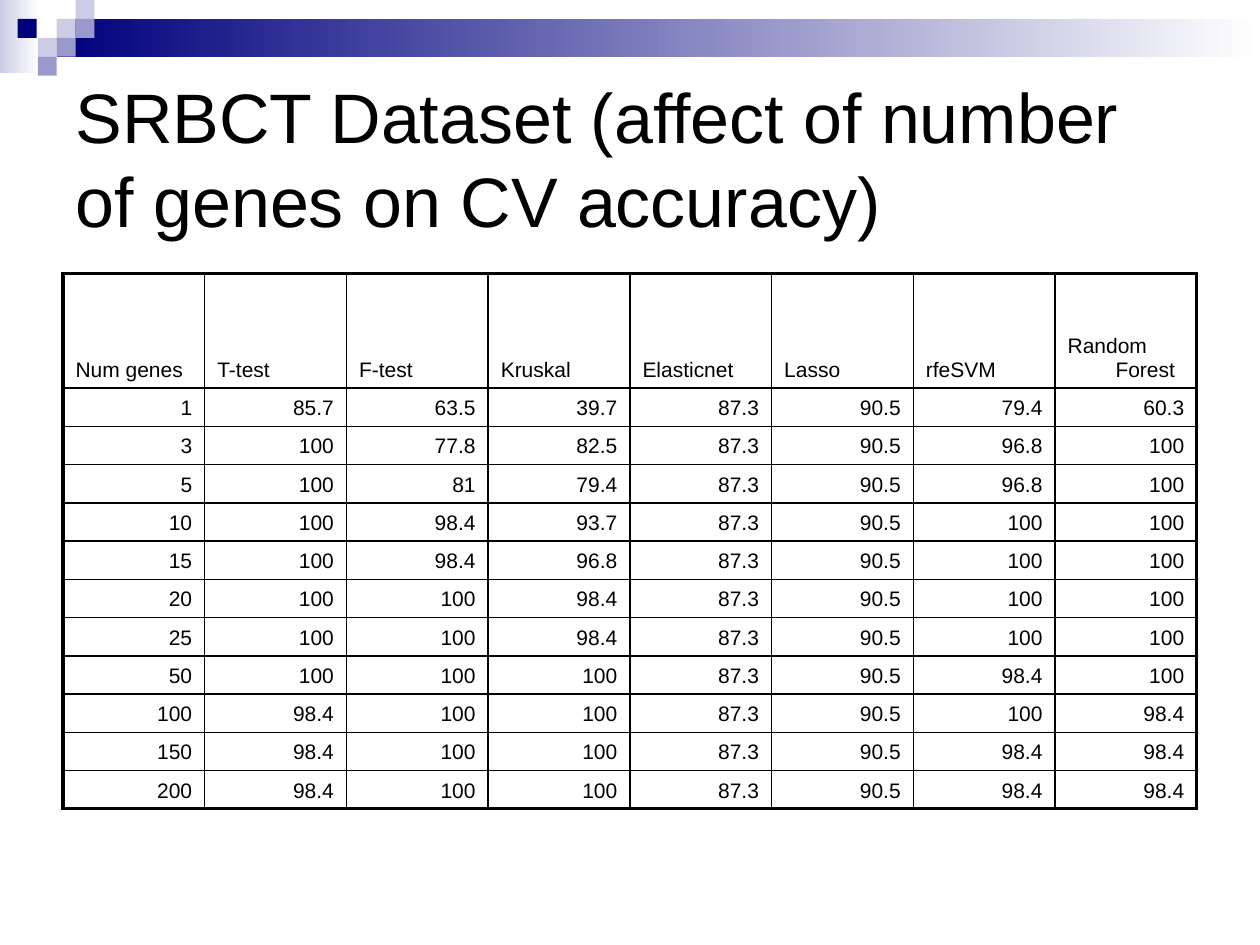
"""Build the SRBCT slide: gene count against cross-validation accuracy."""
from lxml import etree
from pptx import Presentation
from pptx.dml.color import RGBColor
from pptx.enum.shapes import MSO_SHAPE
from pptx.enum.text import MSO_ANCHOR, MSO_AUTO_SIZE, PP_ALIGN
from pptx.oxml.ns import qn
from pptx.util import Inches, Pt

RECT = MSO_SHAPE.RECTANGLE
LEFT, RIGHT = PP_ALIGN.LEFT, PP_ALIGN.RIGHT
MIDDLE, BOTTOM = MSO_ANCHOR.MIDDLE, MSO_ANCHOR.BOTTOM

THEME = {
    "font": "Arial", "title": 40, "cell": 12, "thin": 1, "thick": 2,
    "ink": "000000", "paper": "FFFFFF",
    "navy": "00007D", "mid": "9999CC", "pale": "CCCCE6",
}

TITLE = "SRBCT Dataset (affect of number of genes on CV accuracy)"
HEADERS = ["Num genes", "T-test", "F-test", "Kruskal", "Elasticnet", "Lasso",
           "rfeSVM", "Random Forest"]
ROWS = [
    (1, 85.7, 63.5, 39.7, 87.3, 90.5, 79.4, 60.3),
    (3, 100, 77.8, 82.5, 87.3, 90.5, 96.8, 100),
    (5, 100, 81, 79.4, 87.3, 90.5, 96.8, 100),
    (10, 100, 98.4, 93.7, 87.3, 90.5, 100, 100),
    (15, 100, 98.4, 96.8, 87.3, 90.5, 100, 100),
    (20, 100, 100, 98.4, 87.3, 90.5, 100, 100),
    (25, 100, 100, 98.4, 87.3, 90.5, 100, 100),
    (50, 100, 100, 100, 87.3, 90.5, 98.4, 100),
    (100, 98.4, 100, 100, 87.3, 90.5, 100, 98.4),
    (150, 98.4, 100, 100, 87.3, 90.5, 98.4, 98.4),
    (200, 98.4, 100, 100, 87.3, 90.5, 98.4, 98.4),
]
BANDS = [((0, 0, 0.31, 0.58), "pale"), ((0.45, 0.15, 9.55, 0.3), "navy")]
TILE = 0.15
TILES = [(0.45, 0.15, "pale"), (0.6, 0, "pale"), (0.6, 0.15, "mid"),
         (0.3, 0.3, "pale"), (0.14, 0.15, "navy"), (0.45, 0.3, "mid"),
         (0.3, 0.45, "mid")]
TITLE_BOX = (0.5, 0.5, 9, 1.5)
TABLE_BOX = (0.5, 2.17, 9, 4.25)
HEADER_HEIGHT = 0.91
HANG = 0.38


def color(name):
    return RGBColor.from_string(THEME[name])


def add_rect(s, box):
    sp = s.shapes.add_shape(RECT, *map(Inches, box))
    sp.shadow.inherit = False
    sp.line.fill.background()
    return sp


def add_banner(s):
    for box, start in BANDS:
        fill = add_rect(s, box).fill
        fill.gradient()
        fill.gradient_angle = 0
        for stop, name in zip(fill.gradient_stops, (start, "paper")):
            stop.color.rgb = color(name)
    for x, y, name in TILES:
        fill = add_rect(s, (x, y, TILE, TILE)).fill
        fill.solid()
        fill.fore_color.rgb = color(name)


def write(p, text, size, align):
    p.alignment = align
    r = p.add_run()
    r.text = text
    for key, value in {"name": THEME["font"], "size": Pt(THEME[size])}.items():
        setattr(r.font, key, value)
    r.font.color.rgb = color("ink")


def add_title(s):
    sp = s.shapes.title
    sp.left, sp.top, sp.width, sp.height = map(Inches, TITLE_BOX)
    tf = sp.text_frame
    formats = {"word_wrap": True, "auto_size": MSO_AUTO_SIZE.NONE,
               "vertical_anchor": MIDDLE}
    for key, value in formats.items():
        setattr(tf, key, value)
    write(tf.paragraphs[0], TITLE, "title", LEFT)


def set_borders(cell, outer):
    props = cell._tc.get_or_add_tcPr()
    for i, (side, is_outer) in enumerate(outer.items()):
        width = Pt(THEME["thick" if is_outer else "thin"])
        ln = etree.Element(qn(f"a:ln{side}"), w=str(width))
        fill = etree.SubElement(ln, qn("a:solidFill"))
        etree.SubElement(fill, qn("a:srgbClr"), val=THEME["ink"])
        props.insert(i, ln)


def add_results(s):
    data = [HEADERS, *ROWS]
    last_row, last_col = len(data) - 1, len(HEADERS) - 1
    left, top, width, height = TABLE_BOX
    table = s.shapes.add_table(len(data), len(HEADERS),
                               *map(Inches, TABLE_BOX)).table
    table.first_row = table.horz_banding = False
    for col in table.columns:
        col.width = Inches(width / len(HEADERS))
    for i, row in enumerate(table.rows):
        row.height = Inches((height - HEADER_HEIGHT) / len(ROWS) if i
                            else HEADER_HEIGHT)
        for j, value in enumerate(data[i]):
            cell = table.cell(i, j)
            cell.vertical_anchor = BOTTOM
            cell.fill.background()
            set_borders(cell, {"L": j == 0, "R": j == last_col,
                               "T": i == 0, "B": i == last_row})
            p = cell.text_frame.paragraphs[0]
            write(p, str(value), "cell", RIGHT if i else LEFT)
            props = p._p.get_or_add_pPr()
            props.set("marL", str(Inches(HANG)))
            props.set("indent", str(-Inches(HANG)))


def main():
    prs = Presentation()
    prs.slide_width, prs.slide_height = Inches(10), Inches(7.5)
    s = prs.slides.add_slide(prs.slide_layouts[5])
    add_banner(s)
    add_title(s)
    add_results(s)
    prs.save("out.pptx")


if __name__ == "__main__":
    main()
